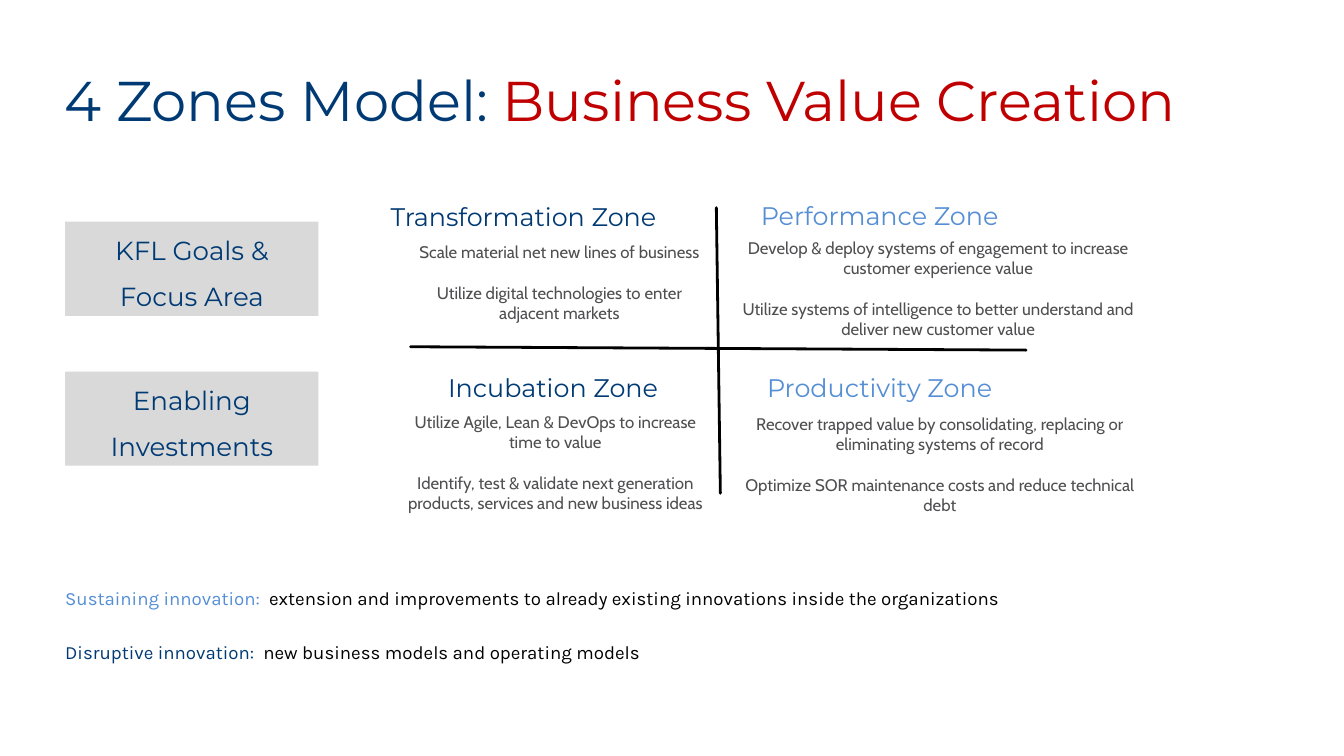
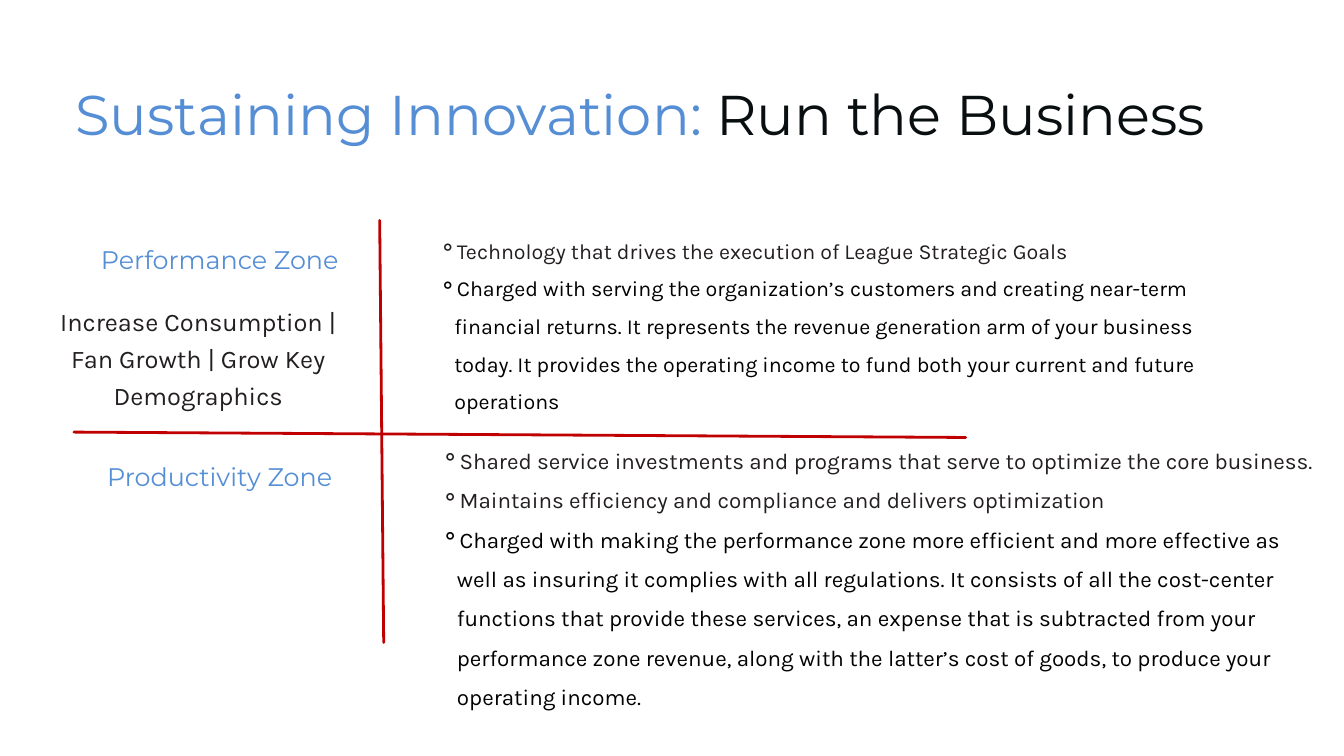
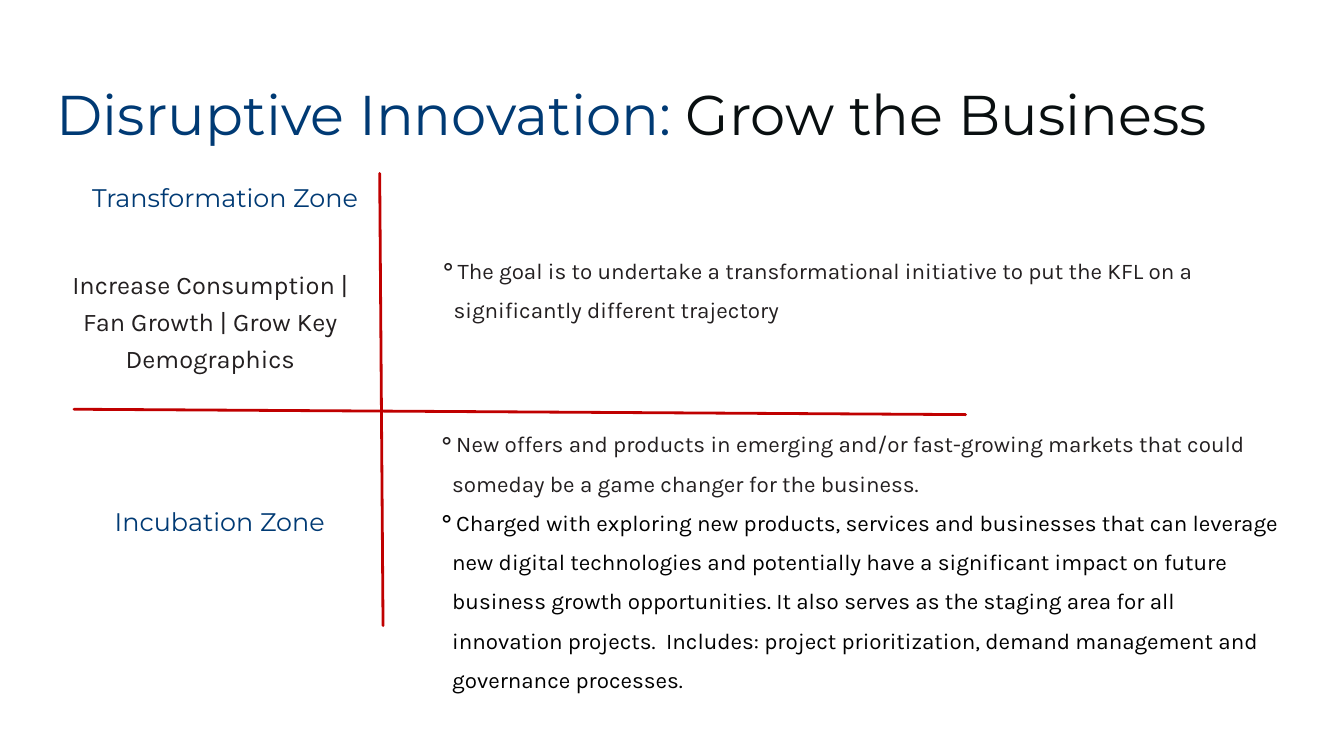
from lxml import etree
from pptx import Presentation
from pptx.dml.color import RGBColor
from pptx.enum import shapes, text
from pptx.oxml import ns
from pptx.util import Inches, Pt

NAVY = RGBColor(0x00, 0x3A, 0x74)
SKY = RGBColor(0x55, 0x8E, 0xD5)
RED = RGBColor(0xC0, 0x00, 0x00)
BLACK = RGBColor(0x00, 0x00, 0x00)
INK = RGBColor(0x09, 0x0F, 0x10)
CHARCOAL = RGBColor(0x23, 0x1F, 0x20)
SLATE = RGBColor(0x4F, 0x4F, 0x51)
PANEL = RGBColor(0xD9, 0xD9, 0xD9)

HEADING_FONT, BODY_FONT, DETAIL_FONT = "Montserrat", "Karla", "Cabin"
LEFT, CENTER = text.PP_ALIGN.LEFT, text.PP_ALIGN.CENTER


def fill_text(frame, paragraphs, font, size, line_height, align=LEFT, gap=0, indent=0):
    frame.word_wrap = True
    frame.auto_size = text.MSO_AUTO_SIZE.NONE
    frame.vertical_anchor = text.MSO_ANCHOR.TOP
    frame.margin_left = frame.margin_right = frame.margin_top = frame.margin_bottom = 0
    for index, parts in enumerate(paragraphs):
        paragraph = frame.add_paragraph() if index else frame.paragraphs[0]
        paragraph.alignment = align
        paragraph.line_spacing = Pt(line_height)
        if index and gap:
            paragraph.space_before = Pt(gap)
        if indent:
            properties = paragraph._p.get_or_add_pPr()
            properties.set("marL", str(Inches(3 * indent)))
            properties.set("indent", str(-Inches(indent)))
            etree.SubElement(properties, ns.qn("a:buChar")).set("char", "⚬")
        for wording, color in parts:
            run = paragraph.add_run()
            run.text = wording
            run.font.name = font
            run.font.size = Pt(size)
            run.font.color.rgb = color


def add_rule(slide, start, end, color):
    rule = slide.shapes.add_connector(
        shapes.MSO_CONNECTOR.STRAIGHT, *(Inches(v) for v in start + end))
    rule.line.color.rgb = color
    rule.line.width = Pt(3)
    rule.line._get_or_add_ln().set("cap", "rnd")
    etree.SubElement(rule._element.spPr, ns.qn("a:effectLst"))


deck = Presentation()
deck.slide_width, deck.slide_height = Inches(20), Inches(11.25)

titles = [
    ((0.96, 0.77, 18.07), ("4 Zones Model: ", NAVY), ("Business Value Creation", RED)),
    ((1.12, 0.98, 17.94), ("Sustaining Innovation: ", SKY), ("Run the Business", INK)),
    ((0.84, 0.98, 18.6), ("Disruptive Innovation: ", NAVY), ("Grow the Business", INK)),
]
axes = [
    (BLACK, (6.11, 5.16), (15.27, 5.21), (10.66, 3.09), (10.72, 7.34)),
    (RED, (1.1, 6.43), (14.37, 6.51), (5.65, 3.28), (5.71, 9.56)),
    (RED, (1.1, 6.09), (14.37, 6.17), (5.65, 2.58), (5.7, 9.31)),
]
zone_names = [
    [("Transformation Zone", NAVY, 5.78, 2.93), ("Performance Zone", SKY, 11.08, 2.92),
     ("Incubation Zone", NAVY, 6.22, 5.48), ("Productivity Zone", SKY, 11.08, 5.48)],
    [("Performance Zone", SKY, 1.26, 3.57), ("Productivity Zone", SKY, 1.26, 6.81)],
    [("Transformation Zone", NAVY, 1.34, 2.65), ("Incubation Zone", NAVY, 1.26, 7.47)],
]

slides = []
for (box, *title_parts), (axis_color, *ends), names in zip(titles, axes, zone_names):
    slide = deck.slides.add_slide(deck.slide_layouts[5])
    slides.append(slide)
    title = slide.shapes.title
    title.left, title.top, title.width = (Inches(v) for v in box)
    title.height = Inches(1.36)
    fill_text(title.text_frame, [title_parts], HEADING_FONT, 60, 86.4)
    add_rule(slide, ends[0], ends[1], axis_color)
    add_rule(slide, ends[2], ends[3], axis_color)
    for name, color, left, top in names:
        heading = slide.shapes.add_textbox(Inches(left), Inches(top), Inches(4.02), Inches(0.56))
        fill_text(heading.text_frame, [[(name, color)]], HEADING_FONT, 27.2, 36.9, CENTER)

overview, sustaining, disruptive = slides

for top, lines in [(3.3, ("KFL Goals &", "Focus Area")), (5.53, ("Enabling", "Investments"))]:
    panel = overview.shapes.add_shape(
        shapes.MSO_SHAPE.RECTANGLE, Inches(0.97), Inches(top), Inches(3.77), Inches(1.4))
    panel.shadow.inherit = False
    panel.fill.solid()
    panel.fill.fore_color.rgb = PANEL
    panel.line.fill.background()
    fill_text(panel.text_frame, [[(line, NAVY)] for line in lines], HEADING_FONT, 28, 50, CENTER)
    panel.text_frame.vertical_anchor = text.MSO_ANCHOR.MIDDLE
    panel.text_frame.margin_bottom = Inches(0.1)

zone_details = [
    ((6.06, 3.6, 4.53, 1.2),
     "Scale material net new lines of business",
     "Utilize digital technologies to enter adjacent markets"),
    ((10.95, 3.54, 6.02, 2.41),
     "Develop & deploy systems of engagement to increase customer experience value",
     "Utilize systems of intelligence to better understand and deliver new customer value"),
    ((6.05, 6.13, 4.43, 2.11),
     "Utilize Agile, Lean & DevOps to increase time to value",
     "Identify, test & validate next generation products, services and new business ideas"),
    ((10.92, 6.16, 6.13, 1.81),
     "Recover trapped value by consolidating, replacing or eliminating systems of record",
     "Optimize SOR maintenance costs and reduce technical debt"),
]
for box, *details in zone_details:
    detail_box = overview.shapes.add_textbox(*(Inches(v) for v in box))
    fill_text(detail_box.text_frame, [[(detail, SLATE)] for detail in details],
              DETAIL_FONT, 18, 21.6, CENTER, gap=21.6)

definitions = overview.shapes.add_textbox(Inches(0.97), Inches(8.67), Inches(18.33), Inches(1.93))
fill_text(definitions.text_frame, [
    [("Sustaining innovation:  ", SKY),
     ("extension and improvements to already existing innovations inside the organizations", BLACK)],
    [("Disruptive innovation:  ", NAVY), ("new business models and operating models", BLACK)],
], BODY_FONT, 20, 28.8, gap=28.8)

for slide, box in [(sustaining, (0.54, 4.47, 4.82, 1.77)), (disruptive, (0.84, 3.92, 4.58, 1.77))]:
    goals = slide.shapes.add_textbox(*(Inches(v) for v in box))
    fill_text(goals.text_frame,
              [[("Increase Consumption | Fan Growth | Grow Key Demographics", CHARCOAL)]],
              BODY_FONT, 27.2, 39.2, CENTER)

zone_charters = [
    (sustaining, (6.07, 3.36, 12.18, 2.72), 23, 40.4, 0.23, [
        ("Technology that drives the execution of League Strategic Goals", CHARCOAL),
        ("Charged with serving the organization’s customers and creating near-term financial "
         "returns. It represents the revenue generation arm of your business today. It provides "
         "the operating income to fund both your current and future operations", BLACK)]),
    (sustaining, (6.08, 6.47, 13.64, 4.62), 24, 42.1, 0.24, [
        ("Shared service investments and programs that serve to optimize the core business.",
         CHARCOAL),
        ("Maintains efficiency and compliance and delivers optimization", CHARCOAL),
        ("Charged with making the performance zone more efficient and more effective as well as "
         "insuring it complies with all regulations. It consists of all the cost-center functions "
         "that provide these services, an expense that is subtracted from your performance zone "
         "revenue, along with the latter’s cost of goods, to produce your operating income.",
         BLACK)]),
    (disruptive, (6.09, 3.64, 12.78, 1.7), 24, 42.1, 0.22, [
        ("The goal is to undertake a transformational initiative to put the KFL on a "
         "significantly different trajectory", CHARCOAL)]),
    (disruptive, (6.07, 6.22, 13, 4.26), 24, 42.1, 0.22, [
        ("New offers and products in emerging and/or fast-growing markets that could someday be "
         "a game changer for the business.", CHARCOAL),
        ("Charged with exploring new products, services and businesses that can leverage new "
         "digital technologies and potentially have a significant impact on future business "
         "growth opportunities. It also serves as the staging area for all innovation projects.  "
         "Includes: project prioritization, demand management and governance processes.",
         BLACK)]),
]
for slide, box, size, line_height, indent, points in zone_charters:
    charter = slide.shapes.add_textbox(*(Inches(v) for v in box))
    fill_text(charter.text_frame, [[point] for point in points],
              BODY_FONT, size, line_height, indent=indent)

deck.save("out.pptx")
